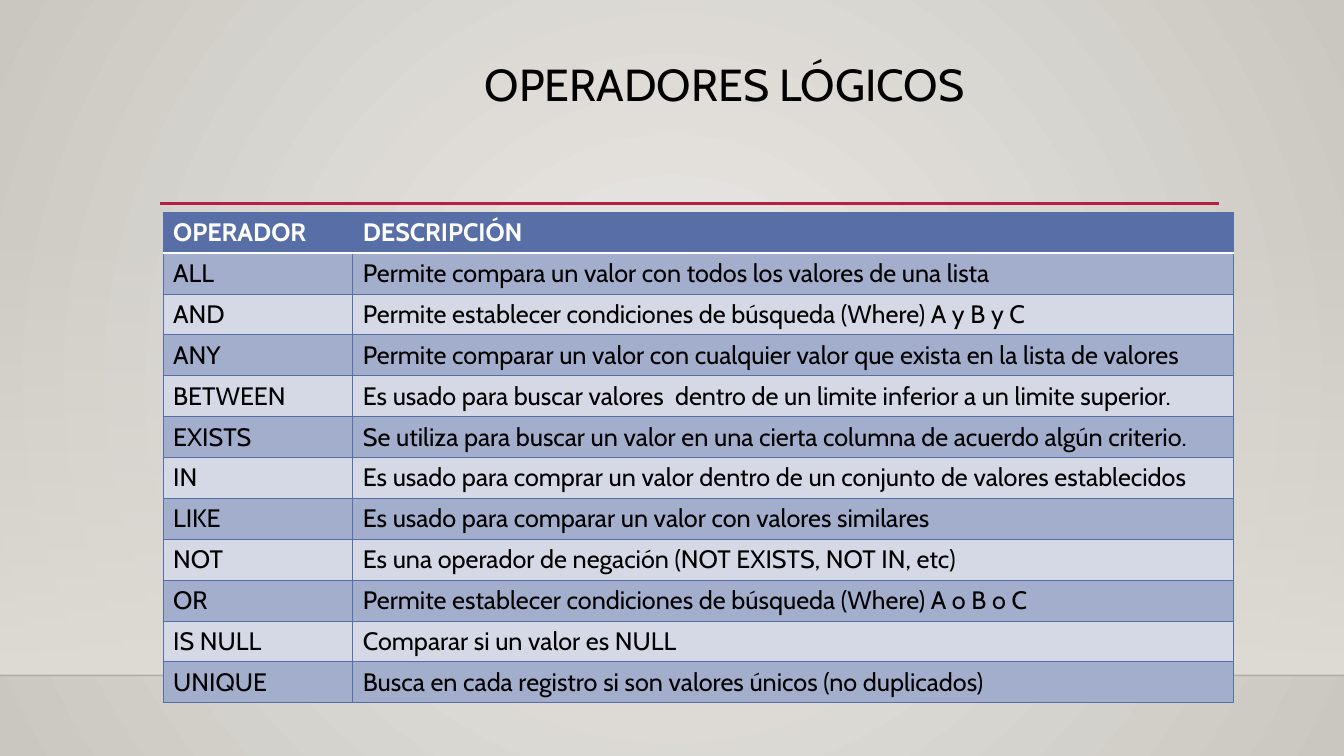
from lxml.etree import SubElement
from pptx import Presentation
from pptx.dml.color import RGBColor
from pptx.enum.shapes import MSO_CONNECTOR as Connector, MSO_SHAPE as Shape
from pptx.enum.text import MSO_ANCHOR as Anchor, MSO_AUTO_SIZE as AutoSize, PP_ALIGN as Align
from pptx.oxml import parse_xml
from pptx.oxml.ns import nsdecls, qn
from pptx.util import Cm, Pt

HEADING = "OPERADORES LÓGICOS"
OPERATORS = [
    ("OPERADOR", "DESCRIPCIÓN"),
    ("ALL", "Permite compara un valor con todos los valores de una lista"),
    ("AND", "Permite establecer condiciones de búsqueda (Where) A y B y C"),
    ("ANY", "Permite comparar un valor con cualquier valor que exista en la lista de valores"),
    ("BETWEEN", "Es usado para buscar valores  dentro de un limite inferior a un limite superior."),
    ("EXISTS", "Se utiliza para buscar un valor en una cierta columna de acuerdo algún criterio."),
    ("IN", "Es usado para comprar un valor dentro de un conjunto de valores establecidos"),
    ("LIKE", "Es usado para comparar un valor con valores similares"),
    ("NOT", "Es una operador de negación (NOT EXISTS, NOT IN, etc)"),
    ("OR", "Permite establecer condiciones de búsqueda (Where) A o B o C"),
    ("IS NULL", "Comparar si un valor es NULL"),
    ("UNIQUE", "Busca en cada registro si son valores únicos (no duplicados)"),
]
BLUE, WHITE, BLACK, SAND = "586EA6", "FFFFFF", "000000", "DFDBD5"
BANDS = ("D5D9E5", "A3AECD")
BACKDROP = ("ECEAE7", "CAC7C1")
WIDTH, HEIGHT = Cm(33.87), Cm(19.05)
COLUMNS = (Cm(4.78), Cm(22.2))
ROW_HEIGHT = Cm(1.03)
FLOOR = Cm(17.02)
RULES = [
    ((0, FLOOR, WIDTH, FLOOR), "000001", 1, 20),
    ((Cm(4.04), Cm(5.13), Cm(30.73), Cm(5.13)), "B71E42", 2.5, 100),
]


def color(code):
    return RGBColor.from_string(code)


def apply(target, formats):
    for key, value in formats.items():
        setattr(target, key, value)


def style(paragraph, size, code, bold=False):
    apply(paragraph.font, {"name": "Cabin", "size": Pt(size), "bold": bold})
    paragraph.font.color.rgb = color(code)


def set_alpha(holder, percent):
    SubElement(holder, qn("a:alpha"), val=str(percent * 1000))


def blend(fill, codes):
    fill.gradient()
    for stop, code in zip(fill.gradient_stops, codes):
        stop.color.rgb = color(code)


def set_backdrop(slide):
    blend(slide.background.fill, BACKDROP)
    gradient = next(slide.element.iter(qn("a:gradFill")))
    gradient.replace(gradient.find(qn("a:lin")), parse_xml(
        f'<a:path {nsdecls("a")} path="circle">'
        '<a:fillToRect l="50000" t="50000" r="50000" b="50000"/></a:path>'))


def add_wall(slide):
    top = Cm(5.61)
    wall = slide.shapes.add_shape(Shape.RECTANGLE, 0, top, WIDTH, FLOOR - top)
    wall.shadow.inherit = False
    wall.line.fill.background()
    blend(wall.fill, (SAND, SAND))
    wall.fill.gradient_angle = 270
    set_alpha(next(wall.element.iter(qn("a:srgbClr"))), 0)


def add_rule(slide, ends, code, weight, opacity):
    rule = slide.shapes.add_connector(Connector.STRAIGHT, *ends)
    rule.line.width = Pt(weight)
    rule.line.color.rgb = color(code)
    if opacity < 100:
        set_alpha(next(rule.element.iter(qn("a:srgbClr"))), opacity)
    SubElement(rule.element.spPr, qn("a:effectLst"))


def add_heading(slide):
    heading = slide.shapes.title
    apply(heading, {"left": Cm(7.98), "top": Cm(1.45), "width": Cm(20.57), "height": Cm(3.56)})
    frame = heading.text_frame
    frame.text = HEADING
    apply(frame, {"vertical_anchor": Anchor.TOP, "auto_size": AutoSize.NONE, "word_wrap": True})
    apply(frame.paragraphs[0], {"alignment": Align.CENTER, "line_spacing": 0.9})
    style(frame.paragraphs[0], 32, BLACK)


def set_borders(cell, row):
    edges = {side: (BLUE, 0.75) for side in "LRTB"}
    if row < 2:
        edges["B" if row == 0 else "T"] = (WHITE, 1.25)
    properties = cell._tc.get_or_add_tcPr()
    for place, (side, (code, weight)) in enumerate(edges.items()):
        properties.insert(place, parse_xml(
            f'<a:ln{side} {nsdecls("a")} w="{Pt(weight)}"><a:solidFill>'
            f'<a:srgbClr val="{code}"/></a:solidFill></a:ln{side}>'))


def add_operators(slide):
    table = slide.shapes.add_table(
        len(OPERATORS), len(COLUMNS), Cm(4.11), Cm(5.35),
        sum(COLUMNS), ROW_HEIGHT * len(OPERATORS)).table
    for column, width in zip(table.columns, COLUMNS):
        column.width = width
    for row, entry in enumerate(OPERATORS):
        table.rows[row].height = ROW_HEIGHT
        header = row == 0
        for column, wording in enumerate(entry):
            cell = table.cell(row, column)
            cell.text = wording
            style(cell.text_frame.paragraphs[0], 18, WHITE if header else BLACK, header)
            cell.fill.solid()
            cell.fill.fore_color.rgb = color(BLUE if header else BANDS[row % 2])
            set_borders(cell, row)


def main():
    deck = Presentation()
    apply(deck, {"slide_width": WIDTH, "slide_height": HEIGHT})
    slide = deck.slides.add_slide(deck.slide_layouts[5])
    set_backdrop(slide)
    add_wall(slide)
    for rule in RULES:
        add_rule(slide, *rule)
    add_heading(slide)
    add_operators(slide)
    deck.save("out.pptx")


if __name__ == "__main__":
    main()
